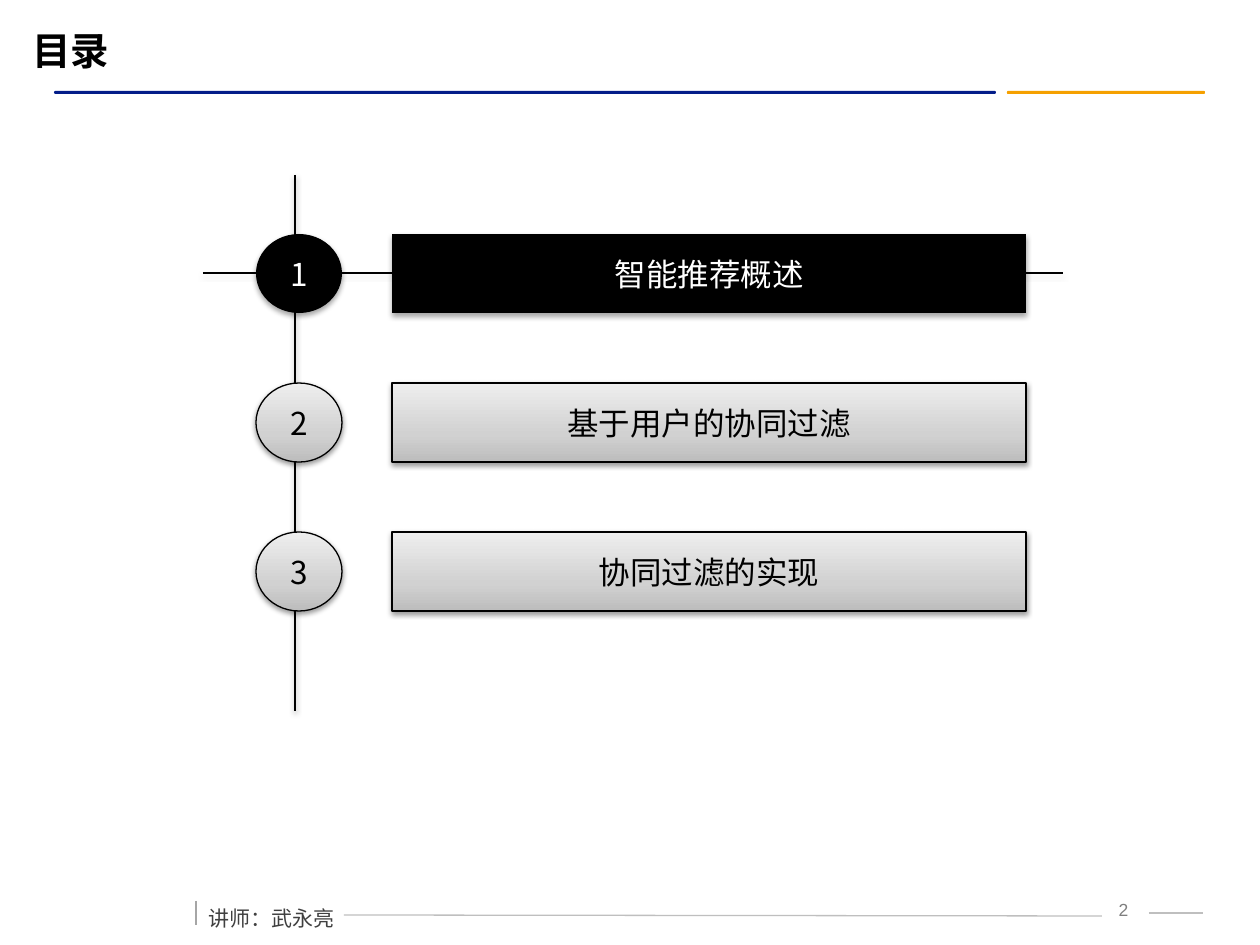
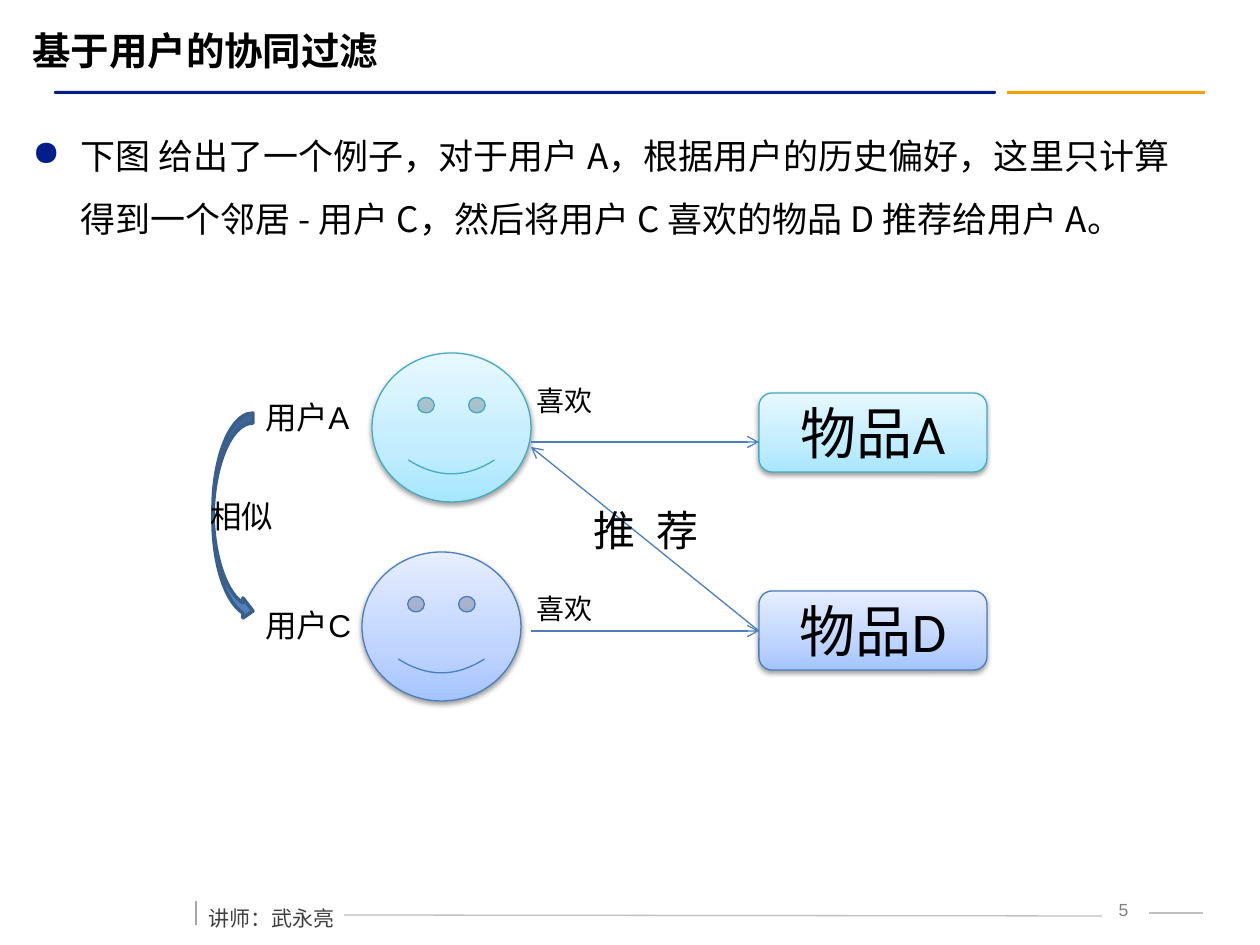
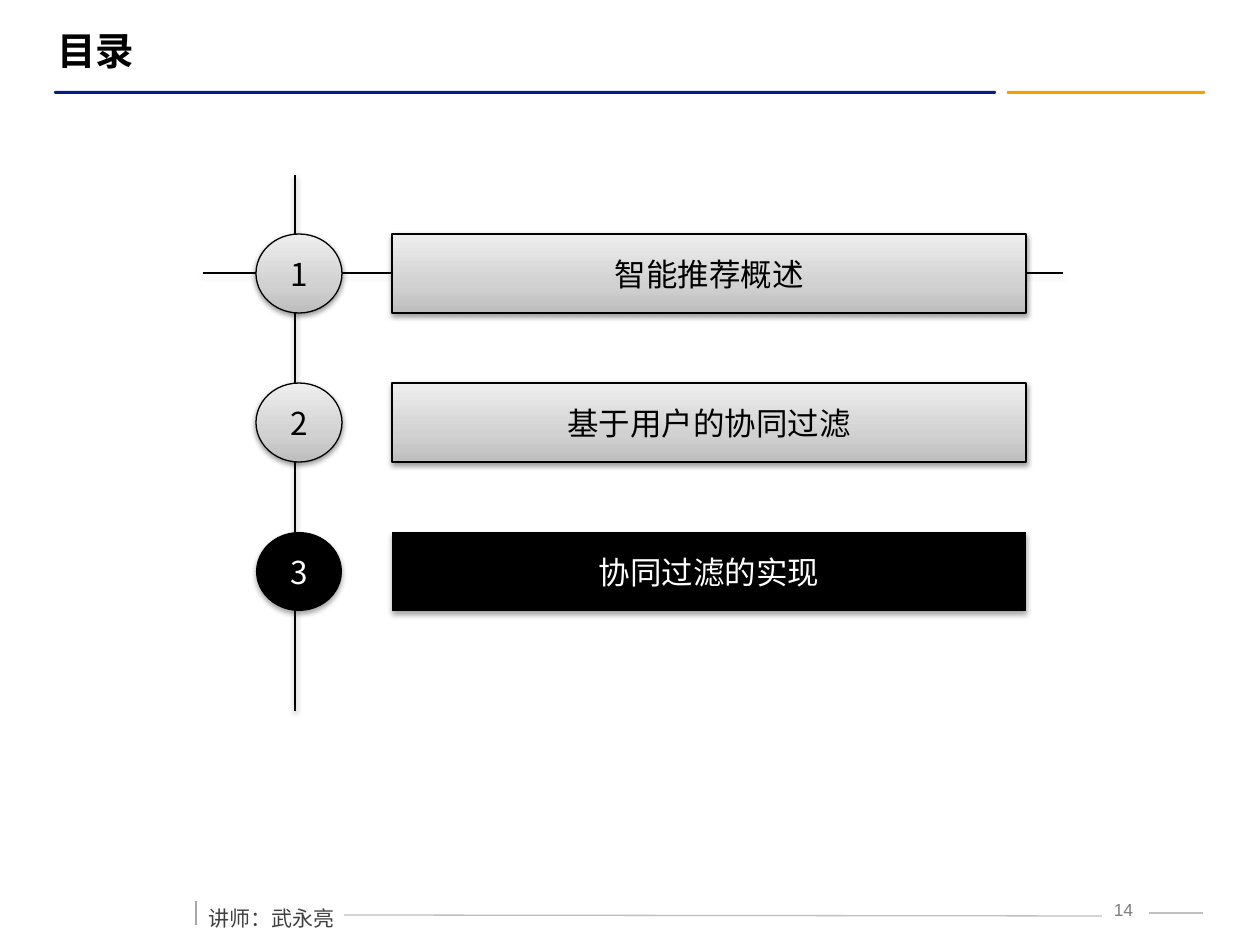
import pptx
import pptx.dml.color
import pptx.enum.shapes
import pptx.enum.text
import pptx.oxml
import pptx.oxml.ns
import pptx.util

SHAPE = pptx.enum.shapes.MSO_SHAPE
ALIGN = pptx.enum.text.PP_ALIGN
ANCHOR = pptx.enum.text.MSO_ANCHOR

EMU_PER_PX = 914400 / 126
CJK = "Noto Sans CJK SC"
COLORS = {
    "black": "000000", "white": "FFFFFF", "navy": "031D89", "orange": "F5A000",
    "page": "7F7F7F", "footer": "404040", "rule": "BFBFBF", "tick": "A6A6A6",
    "blue": "4B7EBC", "cyan": "46AAC5", "arrow": "4F81BD", "arrow edge": "3A5F8C",
}
# Gradient colours from bottom to top
GRADIENTS = {
    "gray": ("BDBDBD", "D1D1D1", "EEEEEE"),
    "cyan": ("A7E6FF", "C1EDFF", "E7F8FF"),
    "blue": ("A4C4FF", "BFD4FF", "E6EEFF"),
}
STOPS = (0, 35, 100)


def px(*lengths):
    return [round(length * EMU_PER_PX) for length in lengths]


def rgb(name):
    return pptx.dml.color.RGBColor.from_string(COLORS[name])


def add_xml(parent, tag, body="", **attributes):
    """Append a drawing element with the given inner XML."""
    listed = "".join(f' {key}="{value}"' for key, value in attributes.items())
    parent.append(pptx.oxml.parse_xml(
        f'<a:{tag} {pptx.oxml.ns.nsdecls("a")}{listed}>{body}</a:{tag}>'))


def add_shadow(effects, alpha=38, distance=1.6):
    """Append a soft shadow that falls straight down."""
    add_xml(effects, "outerShdw",
            f'<a:srgbClr val="{COLORS["black"]}"><a:alpha val="{alpha * 1000}"/></a:srgbClr>',
            blurRad=pptx.util.Pt(3.1), dist=pptx.util.Pt(distance), dir=5400000,
            rotWithShape=0)


class Deck:
    def __init__(self):
        self.presentation = pptx.Presentation()
        self.presentation.slide_width, self.presentation.slide_height = px(1260, 945)
        self.slide = None

    def new_slide(self, title, page, title_left=20):
        """Start a slide with the shared bars, footer and title."""
        self.slide = self.presentation.slides.add_slide(self.presentation.slide_layouts[6])
        self.shape(SHAPE.ROUNDED_RECTANGLE, (1007, 91, 198, 3), "orange").adjustments[0] = 0.36
        self.shape(SHAPE.ROUNDED_RECTANGLE, (54, 91, 942, 3), "navy").adjustments[0] = 0.5
        self.text((1094, 893, 59, 32), str(page), 10, "page", align=ALIGN.CENTER)
        self.line((344, 915), (1102, 916), "rule")
        self.line((1149, 913), (1203, 913), "rule")
        self.line((196, 901), (196, 925), "tick")
        self.text((196, 887, 152, 45), "讲师：武永亮", 12, "footer", font=CJK, wrap=False,
                  line_spacing=1.5, space_before=6)
        self.text((title_left, 21, 1166 - title_left, 59), title, 22, bold=True,
                  anchor=ANCHOR.MIDDLE)

    def fill_frame(self, frame, words, size, color="black", font="Arial", bold=False,
                   align=ALIGN.LEFT, anchor=ANCHOR.TOP, wrap=True, spacing=0):
        """Put one run in a text frame; spacing is extra points after each letter."""
        frame.word_wrap = wrap
        frame.vertical_anchor = anchor
        paragraph = frame.paragraphs[0]
        paragraph.alignment = align
        run = paragraph.add_run()
        run.text = words
        run.font.size = pptx.util.Pt(size)
        run.font.bold = bold
        run.font.color.rgb = rgb(color)
        run.font.name = font
        properties = run._r.get_or_add_rPr()
        add_xml(properties, "ea", typeface=CJK)
        if spacing:
            properties.set("spc", str(round(spacing * 100)))
        return paragraph

    def text(self, box, words, size, color="black", line_spacing=None, space_before=None, **style):
        frame = self.slide.shapes.add_textbox(*px(*box)).text_frame
        paragraph = self.fill_frame(frame, words, size, color, **style)
        if line_spacing:
            paragraph.line_spacing = line_spacing
            paragraph.space_before = pptx.util.Pt(space_before)
        return paragraph

    def bullet(self, box, words):
        paragraph = self.text(box, words, 20, font=CJK, line_spacing=1.5, space_before=4)
        properties = paragraph._p.get_or_add_pPr()
        indent, = px(48)
        properties.set("marL", str(indent))
        properties.set("indent", str(-indent))
        add_xml(properties, "buClr", f'<a:srgbClr val="{COLORS["navy"]}"/>')
        add_xml(properties, "buChar", char="●")

    def shape(self, preset, box, fill=None, gradient=None, edge=None, weight=0.75, shadow=None):
        """Draw a preset shape; shadow holds the options of add_shadow."""
        shape = self.slide.shapes.add_shape(preset, *px(*box))
        properties = shape._element.spPr
        if gradient:
            shape.fill.gradient()
            shape.fill.gradient_angle = 90
            stops = properties.find(".//" + pptx.oxml.ns.qn("a:gsLst"))
            stops.clear()
            for position, color in zip(STOPS, GRADIENTS[gradient]):
                add_xml(stops, "gs", f'<a:srgbClr val="{color}"/>', pos=position * 1000)
        else:
            shape.fill.solid()
            shape.fill.fore_color.rgb = rgb(fill)
        if edge:
            shape.line.color.rgb = rgb(edge)
            shape.line.width = pptx.util.Pt(weight)
        else:
            shape.line.fill.background()
        shape.shadow.inherit = False
        if shadow is not None:
            add_shadow(properties.find(pptx.oxml.ns.qn("a:effectLst")), **shadow)
        return shape

    def line(self, start, end, color, arrow=False, shadow=False):
        line = self.slide.shapes.add_connector(
            pptx.enum.shapes.MSO_CONNECTOR.STRAIGHT, *px(*start, *end))
        line.line.color.rgb = rgb(color)
        line.line.width = pptx.util.Pt(0.75)
        properties = line._element.spPr
        if arrow:
            add_xml(properties.find(pptx.oxml.ns.qn("a:ln")), "tailEnd", type="arrow")
        add_xml(properties, "effectLst")
        if shadow:
            add_shadow(properties[-1])

    def label(self, shape, words, size, color="black", font=CJK, wrap=False):
        self.fill_frame(shape.text_frame, words, size, color, font, align=ALIGN.CENTER,
                        anchor=ANCHOR.MIDDLE, wrap=wrap)


def contents_slide(deck, page, current, title_left):
    """List the chapters and mark the current one in black."""
    deck.new_slide("目录", page, title_left)
    deck.line((295, 175), (295, 711), "black", shadow=True)
    deck.line((203, 273), (1063, 273), "black", shadow=True)
    chapters = ("智能推荐概述", "基于用户的协同过滤", "协同过滤的实现")
    for number, chapter in enumerate(chapters, 1):
        top = 234 + 149 * (number - 1)
        if number == current:
            look, ink = {"fill": "black", "shadow": {"alpha": 35, "distance": 1.8}}, "white"
        else:
            look, ink = {"gradient": "gray", "edge": "black", "shadow": {}}, "black"
        circle = deck.shape(SHAPE.OVAL, (256, top, 86, 79), **look)
        deck.label(circle, str(number), 18, ink)
        bar = deck.shape(SHAPE.ACTION_BUTTON_CUSTOM, (392, top, 634, 79), **look)
        deck.label(bar, chapter, 18, ink)


def example_slide(deck):
    deck.new_slide("基于用户的协同过滤", 5)
    deck.bullet((20, 107, 1183, 178),
                "下图 给出了一个例子，对于用户 A，根据用户的历史偏好，这里只计算得到一个邻居 - 用户 C，"
                "然后将用户 C 喜欢的物品 D 推荐给用户 A。")
    # user, item, colour, face left, arrow height
    likes = (("用户A", "物品A", "cyan", 372, 442), ("用户C", "物品D", "blue", 362, 631))
    for row, (user, item, color, face_left, arrow_y) in enumerate(likes):
        look = {"gradient": color, "edge": color, "shadow": {}}
        deck.shape(SHAPE.SMILEY_FACE, (face_left, 353 + 199 * row, 159, 149), **look)
        product = deck.shape(SHAPE.ROUNDED_RECTANGLE, (759, 393 + 198 * row, 228, 79), **look)
        deck.label(product, item, 32, font="Calibri", wrap=True)
        deck.line((531, arrow_y), (759, arrow_y), "blue", arrow=True)
        deck.text((253, 392 + 208 * row, face_left - 243, 50), user, 18)
        deck.text((524, 377 + 208 * row, 116, 47), "喜欢", 16)
    deck.shape(SHAPE.CURVED_RIGHT_ARROW, (213, 413, 40, 208), "arrow",
               edge="arrow edge", weight=2)
    deck.text((198, 491, 105, 50), "相似", 18)
    deck.line((759, 631), (531, 447), "blue", arrow=True)
    deck.text((581, 498, 149, 64), "推 荐", 24, spacing=3.3)


def main():
    deck = Deck()
    contents_slide(deck, page=2, current=1, title_left=20)
    example_slide(deck)
    contents_slide(deck, page=14, current=3, title_left=45)
    deck.presentation.save("out.pptx")


if __name__ == "__main__":
    main()
